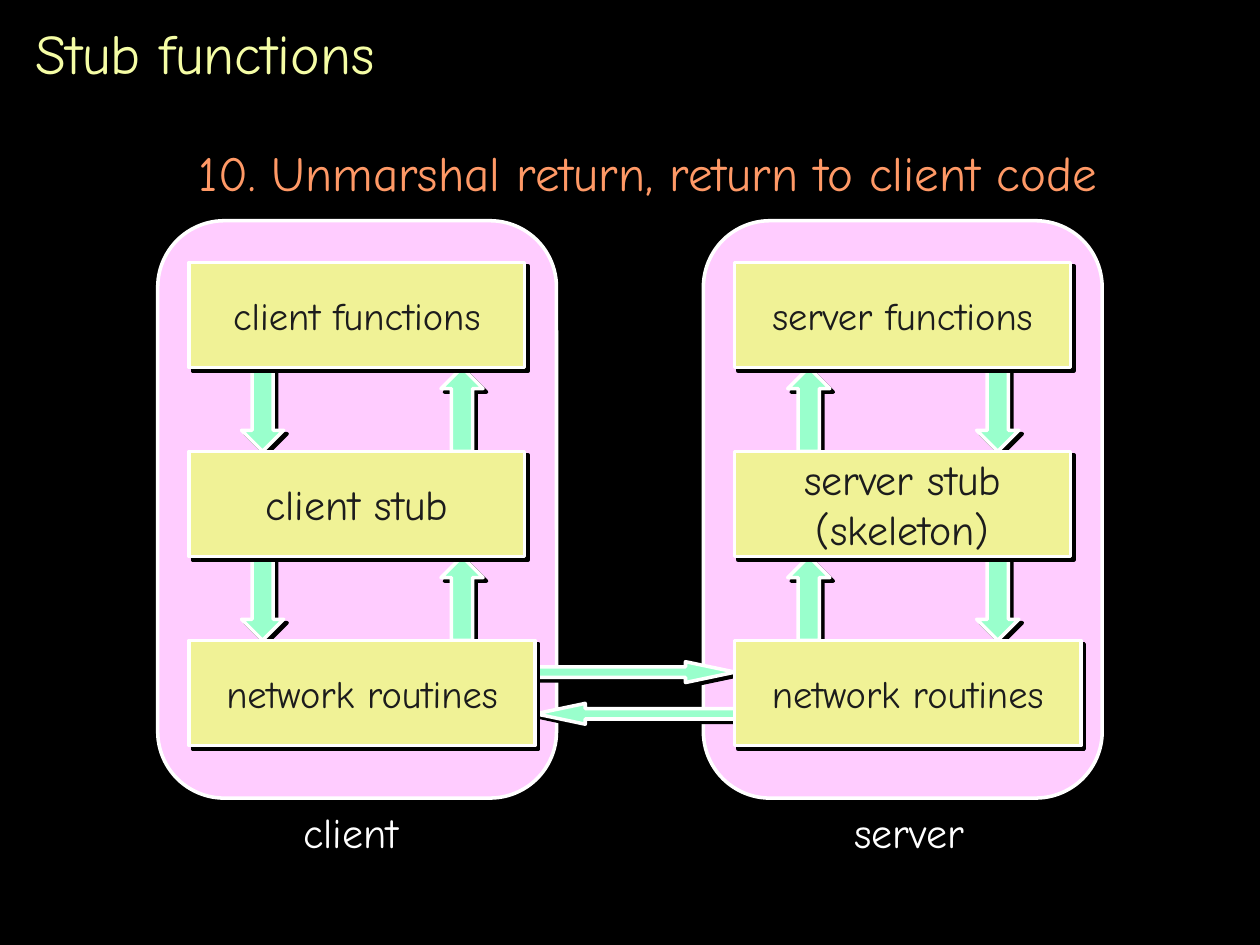
from lxml import etree
from pptx import Presentation
from pptx import util as u
from pptx.dml import color
from pptx.enum import shapes, text
from pptx.oxml import ns

FONT = "Comic Neue"
COLORS = {
    "background": "000000",
    "title": "F5FDA5",
    "step": "FF9966",
    "host": "FFCCFF",
    "layer": "F0F296",
    "arrow": "99FFCC",
    "ink": "1C1C1C",
    "white": "FFFFFF",
    "shadow": "000000",
}
KINDS = shapes.MSO_SHAPE
SERVER_SHIFT = 11
ROW_TOP, ROW_STEP, ROW_HEIGHT = 5.29, 3.81, 2.12


def rgb(name):
    """Return the named colour."""
    return color.RGBColor.from_string(COLORS[name])


def write(shape, words, size, ink, align=text.PP_ALIGN.CENTER):
    """Write one formatted paragraph into a shape."""
    frame = shape.text_frame
    frame.auto_size = text.MSO_AUTO_SIZE.NONE
    para = frame.paragraphs[0]
    para.text = words
    para.alignment = align
    for span in para.runs:
        span.font.name = FONT
        span.font.size = u.Pt(size)
        span.font.color.rgb = rgb(ink)


def add_shadow(shape):
    """Give a shape a hard shadow to the lower right."""
    shape.shadow.inherit = False
    effects = shape._element.spPr.find(ns.qn("a:effectLst"))
    shadow = etree.SubElement(
        effects, ns.qn("a:outerShdw"), dist=str(u.Pt(2.8)), dir="2700000",
        algn="ctr", rotWithShape="0")
    etree.SubElement(shadow, ns.qn("a:srgbClr"), val=COLORS["shadow"])


def add_block(page, kind, left, top, width, height, fill):
    """Add a filled shape with a white outline."""
    block = page.shapes.add_shape(
        kind, u.Cm(left), u.Cm(top), u.Cm(width), u.Cm(height))
    block.shadow.inherit = False
    block.fill.solid()
    block.fill.fore_color.rgb = rgb(fill)
    block.line.color.rgb = rgb("white")
    block.line.width = u.Pt(2)
    return block


def add_label(page, words, left, top, width, height, size, ink, align):
    """Add a single line of free text."""
    box = page.shapes.add_textbox(
        u.Cm(left), u.Cm(top), u.Cm(width), u.Cm(height))
    box.text_frame.word_wrap = False
    write(box, words, size, ink, align)


def add_layer(page, left, row, width, words, size):
    """Add one software layer of a host."""
    layer = add_block(page, KINDS.RECTANGLE, left, ROW_TOP + row * ROW_STEP,
                      width, ROW_HEIGHT, "layer")
    add_shadow(layer)
    layer.text_frame.word_wrap = False
    layer.text_frame.vertical_anchor = text.MSO_ANCHOR.MIDDLE
    write(layer, words, size, "ink")


def add_vertical_arrows(page, kind, left):
    """Add the arrows that join the three layers at one position."""
    for row in range(2):
        top = ROW_TOP + ROW_HEIGHT + row * ROW_STEP
        add_shadow(add_block(page, kind, left, top, 0.85,
                             ROW_STEP - ROW_HEIGHT, "arrow"))


def add_network_arrow(page, kind, top):
    """Add a long arrow between the two hosts."""
    arrow = add_block(page, kind, 10.8, top, 4.02, 0.42, "arrow")
    arrow.adjustments[1] = 2.38
    add_shadow(arrow)


def add_title(page, words):
    """Place and format the title."""
    title = page.shapes.title
    title.left, title.top = u.Cm(0.46), u.Cm(0.2)
    title.width, title.height = u.Cm(24.56), u.Cm(1.7)
    title.text_frame.vertical_anchor = text.MSO_ANCHOR.MIDDLE
    write(title, words, 32, "title", text.PP_ALIGN.LEFT)


def main():
    """Build the slide and save it."""
    deck = Presentation()
    deck.slide_width, deck.slide_height = u.Cm(25.4), u.Cm(19.05)
    page = deck.slides.add_slide(deck.slide_layouts[5])
    page.background.fill.solid()
    page.background.fill.fore_color.rgb = rgb("background")

    add_title(page, "Stub functions")
    add_label(page, "10. Unmarshal return, return to client code",
              3.76, 2.74, 18.67, 1.45, 28, "step", text.PP_ALIGN.LEFT)

    for shift in (0, SERVER_SHIFT):
        add_block(page, KINDS.ROUNDED_RECTANGLE, 3.18 + shift, 4.45,
                  8.04, 11.64, "host")
    for words, left, width in (("client", 5.87, 2.41), ("server", 16.97, 2.72)):
        add_label(page, words, left, 16.13, width, 1.27, 24, "white",
                  text.PP_ALIGN.CENTER)

    for kind, left in ((KINDS.DOWN_ARROW, 4.87), (KINDS.UP_ARROW, 8.89),
                       (KINDS.UP_ARROW, 15.88), (KINDS.DOWN_ARROW, 19.69)):
        add_vertical_arrows(page, kind, left)
    add_network_arrow(page, KINDS.RIGHT_ARROW, 13.34)
    add_network_arrow(page, KINDS.LEFT_ARROW, 14.18)

    hosts = (("client functions", "client stub"),
             ("server functions", "server stub\n(skeleton)"))
    for host, (functions, stub) in enumerate(hosts):
        left = 3.81 + host * SERVER_SHIFT
        add_layer(page, left, 0, 6.77, functions, 22)
        add_layer(page, left, 1, 6.77, stub, 24)
        add_layer(page, left, 2, 6.98, "network routines", 22)

    deck.save("out.pptx")


if __name__ == "__main__":
    main()
